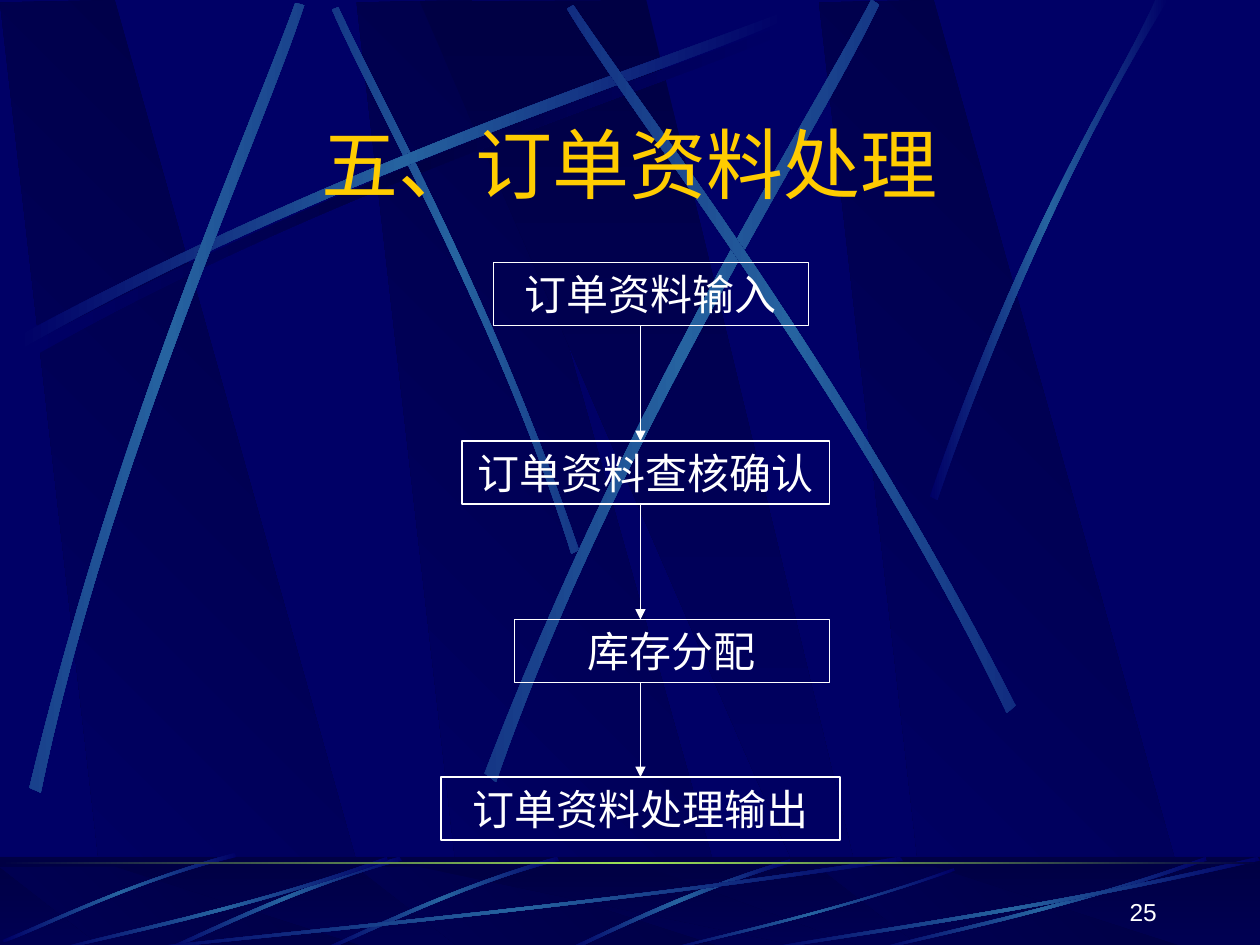
"""Build the order data processing slide with its streaked backdrop."""
from copy import deepcopy
from dataclasses import dataclass, replace
from math import cos, radians, sin

from lxml.etree import SubElement
from pptx import Presentation
from pptx.dml.color import RGBColor
from pptx.enum.shapes import MSO_CONNECTOR, MSO_SHAPE
from pptx.enum.text import MSO_ANCHOR, PP_ALIGN
from pptx.oxml.ns import qn
from pptx.util import Inches, Pt

NAVY = RGBColor(0x00, 0x00, 0x66)
DARK = RGBColor(0x00, 0x00, 0x44)
BLUE = RGBColor(0x26, 0x63, 0xA0)
GREEN = RGBColor(0x9C, 0xE1, 0x57)
GOLD = RGBColor(0xFF, 0xCC, 0x00)
WHITE = RGBColor(0xFF, 0xFF, 0xFF)


@dataclass(frozen=True)
class Streak:
    """Two facing Bezier edges of four points each, with a turn about a hub."""
    pts: tuple
    turn: float = 0
    hub: tuple = (0, 0)
    glow: RGBColor = BLUE

    def shift(self, dx: float, dy: float = 0, **change):
        pts = tuple((x + dx, y + dy) for x, y in self.pts)
        hub = (self.hub[0] + dx, self.hub[1] + dy)
        return replace(self, pts=pts, hub=hub, **change)


@dataclass(frozen=True)
class Step:
    """One box of the flow, measured in grid units."""
    text: str
    left: int
    top: int
    width: int


SWEEP = Streak(((.14, 2.67), (2.78, 1.25), (5.18, .51), (6.2, .1),
                (6.23, .16), (5.22, .61), (2.48, 1.43), (.17, 2.77)))
UPPER = (
    SWEEP.shift(.06, .08, glow=DARK),
    Streak(((4.6, 4.36), (3.91, 2.34), (3.02, .77), (2.69, .05),
            (2.64, .07), (2.95, .79), (3.98, 2.58), (4.54, 4.39)), 45, (3.62, 2.23)),
    SWEEP,
    Streak(((.23, 6.25), (.93, 3.34), (1.97, 1.05), (2.34, .02),
            (2.41, .04), (2.07, 1.09), (.86, 3.68), (.32, 6.29)), 311.7, (1.33, 3.16)),
    Streak(((3.85, 6.14), (4.98, 3.2), (6.38, 1.02), (6.92, 0),
            (6.98, .04), (6.49, 1.08), (4.86, 3.55), (3.94, 6.21)), 321.6, (5.43, 3.1)),
    Streak(((8.06, 5.6), (6.7, 2.93), (5.16, .95), (4.55, .04),
            (4.5, .07), (5.07, 1.01), (6.85, 3.25), (7.99, 5.66)), 34.8, (6.27, 2.85)),
    Streak(((7.38, 3.94), (8.14, 1.73), (8.88, .66), (9.17, 0),
            (9.27, 0), (8.36, 1.45), (7.69, 3.22), (7.44, 3.97))),
)
HOOK = Streak(((4.42, 6.8), (3.55, 7.05), (2.87, 7.4), (2.56, 7.53),
               (2.57, 7.55), (2.88, 7.43), (3.65, 7.03), (4.44, 6.83)), 314.9, (3.5, 7.18))
DART = Streak(((3.08, 6.83), (1.93, 7.23), (.88, 7.44), (.43, 7.55),
               (.42, 7.54), (.86, 7.41), (2.06, 7.18), (3.07, 6.8)))
LOWER = (
    Streak(((6.27, 6.82), (5.37, 7.09), (4.77, 7.42), (4.48, 7.54),
            (4.53, 7.55), (4.9, 7.37), (5.71, 7), (6.28, 6.85))),
    HOOK,
    HOOK.shift(-1.25),
    Streak(((1.86, 6.77), (.99, 7.01), (.33, 7.34), (.02, 7.46),
            (.03, 7.48), (.34, 7.37), (1.09, 6.98), (1.88, 6.8)), 314.9, (.95, 7.13)),
    Streak(((7.17, 6.83), (4.49, 7.23), (2.06, 7.44), (1.03, 7.55),
            (1, 7.54), (2.02, 7.41), (4.8, 7.18), (7.14, 6.8))),
    DART,
    Streak(((7.58, 6.91), (6.58, 7.26), (5.67, 7.45), (5.28, 7.55),
            (5.27, 7.54), (5.65, 7.43), (6.69, 7.22), (7.57, 6.89))),
    DART.shift(6.5),
    Streak(((10, 6.83), (8.27, 7.23), (6.69, 7.44), (6.02, 7.55),
            (6, 7.54), (6.66, 7.41), (8.46, 7.18), (9.98, 6.8))),
)
BAND = ((.86, 7.5), (3.02, 7.52), (.91, 0), (0, .02))
WEDGE = ((3.33, .01), (6.58, 7.51), (6.94, 7.51), (5.13, 0))
GRID = 1 / 12
TALL = 6
AXIS = 61
STEPS = (
    Step("订单资料输入", 47, 25, 30),
    Step("订单资料查核确认", 44, 42, 35),
    Step("库存分配", 49, 59, 30),
    Step("订单资料处理输出", 42, 74, 38),
)


def spin(pts: tuple, turn: float, hub: tuple) -> list:
    c, s = cos(radians(turn)), sin(radians(turn))
    gaps = [(x - hub[0], y - hub[1]) for x, y in pts]
    return [(hub[0] + x * c - y * s, hub[1] + x * s + y * c) for x, y in gaps]


def blend(shape, colors: tuple, angle: float) -> None:
    shape.shadow.inherit = False
    shape.line.fill.background()
    shape.fill.gradient()
    shape.fill.gradient_angle = 360 - angle
    grad = shape._element.spPr.find(qn("a:gradFill"))
    grad.set("rotWithShape", "0")
    stops = grad.find(qn("a:gsLst"))
    for _ in colors[2:]:
        stops.insert(1, deepcopy(stops[0]))
    for n, (stop, color) in enumerate(zip(shape.fill.gradient_stops, colors)):
        stop.position = n / (len(colors) - 1)
        stop.color.rgb = color


def add_poly(shapes, pts: list):
    spots = [(Inches(x), Inches(y)) for x, y in pts]
    build = shapes.build_freeform(*spots[0])
    build.add_line_segments(spots[1:], close=True)
    return build.convert_to_shape()


def bend(shape) -> None:
    route = next(shape._element.iter(qn("a:path")))
    lines = route.findall(qn("a:lnTo"))
    for start in (0, 4):
        trio = lines[start:start + 3]
        arc = SubElement(route, qn("a:cubicBezTo"))
        trio[0].addprevious(arc)
        for line in trio:
            arc.append(line[0])
            route.remove(line)


def add_streak(shapes, streak: Streak) -> None:
    shape = add_poly(shapes, spin(streak.pts, -streak.turn, streak.hub))
    bend(shape)
    shape.rotation = streak.turn
    blend(shape, (NAVY, streak.glow, NAVY), 180)


def add_bands(shapes, top: float, scale: float) -> None:
    bands = [([(x + dx, y) for x, y in BAND], 135) for dx in (2.83, 0, 6.5)]
    for pts, angle in bands + [(WEDGE, 90)]:
        shape = add_poly(shapes, [(x, top + y * scale) for x, y in pts])
        blend(shape, (DARK, NAVY), angle)


def add_rect(shapes, left: float, top: float, width: float, height: float):
    rect = shapes.add_shape(MSO_SHAPE.RECTANGLE, Inches(left), Inches(top),
                            Inches(width), Inches(height))
    rect.shadow.inherit = False
    return rect


def add_scene(shapes) -> None:
    add_bands(shapes, 0, 1)
    for streak in UPPER:
        add_streak(shapes, streak)
    blend(add_rect(shapes, 0, 6.8, 10, .75), (DARK, NAVY), 90)
    add_bands(shapes, 6.88, .09)
    veil = add_rect(shapes, 0, 6.8, 10, .75)
    veil.line.fill.background()
    veil.fill.solid()
    veil.fill.fore_color.rgb = DARK
    tint = veil._element.spPr.find(qn("a:solidFill"))[0]
    SubElement(tint, qn("a:alpha"), val="50000")
    for streak in LOWER:
        add_streak(shapes, streak)
    blend(add_rect(shapes, 0, 6.84, 10, .02), (DARK, GREEN, DARK), 180)


def write(frame, text: str, *, size: float, font: str, color: RGBColor = WHITE,
          align=PP_ALIGN.CENTER, anchor=MSO_ANCHOR.MIDDLE) -> None:
    frame.word_wrap = True
    frame.vertical_anchor = anchor
    para = frame.paragraphs[0]
    para.alignment = align
    run = para.add_run()
    run.text = text
    run.font.size = Pt(size)
    run.font.name = font
    run.font.color.rgb = color


def add_step(shapes, step: Step):
    box = add_rect(shapes, step.left * GRID, step.top * GRID,
                   step.width * GRID, TALL * GRID)
    box.fill.background()
    box.line.color.rgb = WHITE
    box.line.width = Pt(.75)
    write(box.text_frame, step.text, size=24, font="Times New Roman")
    return box


def add_arrow(shapes, top: int, end: int):
    spots = [Inches(n * GRID) for n in (AXIS, top, AXIS, end)]
    arrow = shapes.add_connector(MSO_CONNECTOR.STRAIGHT, *spots)
    arrow.line.color.rgb = WHITE
    arrow.line.width = Pt(.75)
    SubElement(arrow.line._get_or_add_ln(), qn("a:tailEnd"), type="triangle")
    SubElement(arrow._element.spPr, qn("a:effectLst"))
    return arrow


def main() -> None:
    deck = Presentation()
    deck.slide_width, deck.slide_height = Inches(10), Inches(7.5)
    slide = deck.slides.add_slide(deck.slide_layouts[5])
    master, shapes = deck.slide_master, slide.shapes
    master.background.fill.solid()
    master.background.fill.fore_color.rgb = NAVY
    scene = shapes.add_group_shape()
    add_scene(scene.shapes)
    master.shapes._spTree.insert(2, scene._element)
    title = shapes.title
    title.left, title.top = Inches(.75), Inches(.87)
    title.width, title.height = Inches(8.5), Inches(.84)
    write(title.text_frame, "五、订单资料处理", size=44, font="Montserrat", color=GOLD)
    boxes = [add_step(shapes, step) for step in STEPS]
    for step, later in zip(STEPS, STEPS[1:]):
        arrow = add_arrow(shapes, step.top + TALL, later.top)
    arrow.end_connect(boxes[-1], 0)
    page = shapes.add_textbox(Inches(7.2), Inches(6.9), Inches(2.08), Inches(.5))
    write(page.text_frame, "25", size=14, font="Arial",
          align=PP_ALIGN.RIGHT, anchor=MSO_ANCHOR.BOTTOM)
    deck.save("out.pptx")


if __name__ == "__main__":
    main()
